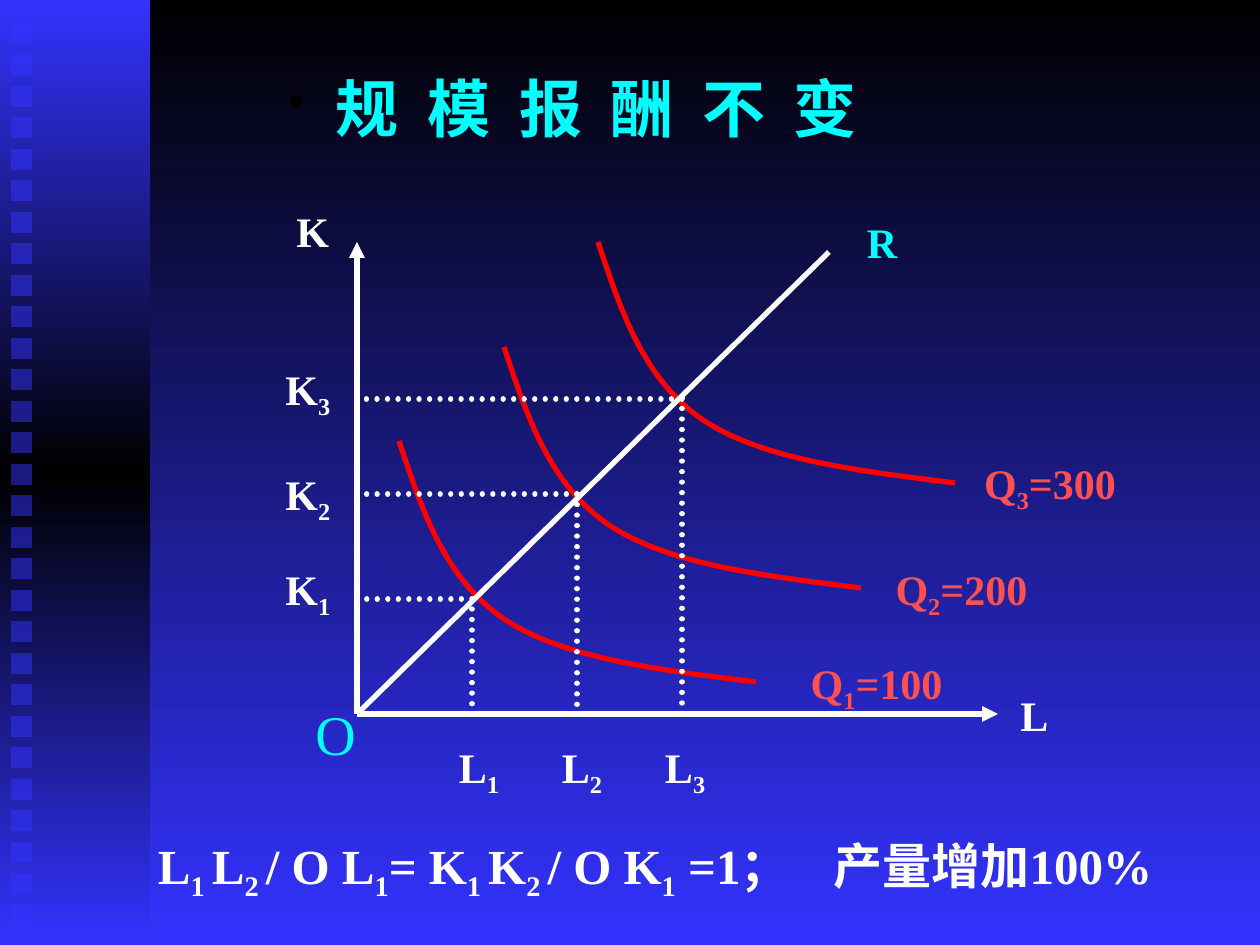
from copy import deepcopy

from lxml.etree import SubElement
from pptx import Presentation
from pptx.dml.color import RGBColor
from pptx.enum.dml import MSO_LINE
from pptx.enum.shapes import MSO_CONNECTOR, MSO_SHAPE
from pptx.enum.text import MSO_AUTO_SIZE, PP_ALIGN
from pptx.oxml.ns import qn
from pptx.util import Emu, Pt

WHITE, CYAN, RED, CORAL = "FFFFFF", "00FFFF", "FF0000", "FF5050"
BLACK, BLUE = "000000", "3333FF"
ORIGIN = (357, 714)
# Isoquant outline from its top end: start, then two Bezier segments
ISOQUANT = [(0, 0), (23, 69), (45, 137), (105, 178),
            (165, 218), (261, 229), (357, 241)]


def px(n):
    return Emu(round(n * 914400 / 126))


def rgb(color):
    return RGBColor.from_string(color)


def add_gradient(fill, element, colors):
    """Vertical gradient with evenly spaced stops."""
    fill.gradient()
    fill.gradient_angle = 270
    stops = element.find(".//" + qn("a:gsLst"))
    while len(stops) < len(colors):
        stops.append(deepcopy(stops[-1]))
    for i, (stop, color) in enumerate(zip(fill.gradient_stops, colors)):
        stop.position = i / (len(colors) - 1)
        stop.color.rgb = rgb(color)


def add_rect(s, x, y, w, h):
    sp = s.shapes.add_shape(MSO_SHAPE.RECTANGLE, px(x), px(y), px(w), px(h))
    sp.shadow.inherit = False
    sp.line.fill.background()
    return sp


def add_square(s, x, y, size):
    sp = add_rect(s, x, y, size, size)
    sp.fill.solid()
    sp.fill.fore_color.rgb = rgb(BLUE)
    color = sp._element.spPr.find(".//" + qn("a:srgbClr"))
    SubElement(color, qn("a:alpha"), val="50000")


def add_line(s, start, end, arrow=False, dotted=False):
    c = s.shapes.add_connector(MSO_CONNECTOR.STRAIGHT,
                               *(px(n) for n in (*start, *end)))
    c.line.color.rgb = rgb(WHITE)
    c.line.width = Pt(3)
    ln = c.line._get_or_add_ln()
    if dotted:
        c.line.dash_style = MSO_LINE.ROUND_DOT
        ln.set("cap", "rnd")
    if arrow:
        SubElement(ln, qn("a:tailEnd"), type="triangle")
    SubElement(c._element.spPr, qn("a:effectLst"))


def add_isoquant(s, x, y):
    points = [(x + dx, y + dy) for dx, dy in ISOQUANT]
    builder = s.shapes.build_freeform(*points[0], scale=914400 / 126)
    builder.add_line_segments(points[1:], close=False)
    sp = builder.convert_to_shape()
    sp.shadow.inherit = False
    sp.fill.background()
    sp.line.color.rgb = rgb(RED)
    sp.line.width = Pt(3)
    # Every three straight steps become one Bezier segment
    path = sp._element.spPr.find(".//" + qn("a:path"))
    steps = path.findall(qn("a:lnTo"))
    for i in range(0, len(steps), 3):
        curve = SubElement(path, qn("a:cubicBezTo"))
        for step in steps[i:i + 3]:
            curve.append(step[0])
            path.remove(step)


def add_text(s, text, x, y, w, h, size=24, color=WHITE, bold=True,
             align=PP_ALIGN.CENTER, inset=None, tabs=(), bullet=False,
             spacing=None):
    """Add a text box; a part between underscores is subscript."""
    tf = s.shapes.add_textbox(px(x), px(y), px(w), px(h)).text_frame
    tf.word_wrap = True
    tf.auto_size = MSO_AUTO_SIZE.SHAPE_TO_FIT_TEXT
    if inset is not None:
        tf.margin_left = px(inset)
    p = tf.paragraphs[0]
    p.alignment = align
    pPr = p._p.get_or_add_pPr()
    if bullet:
        pPr.set("marL", "342900")
        pPr.set("indent", "-342900")
        SubElement(SubElement(pPr, qn("a:buClr")), qn("a:srgbClr"), val=BLACK)
        SubElement(pPr, qn("a:buSzPct"), val="75000")
        SubElement(pPr, qn("a:buChar"), char="•")
    if tabs:
        tab_list = SubElement(pPr, qn("a:tabLst"))
        for pos in tabs:
            SubElement(tab_list, qn("a:tab"), pos=str(px(pos)), algn="l")
    for i, part in enumerate(text.split("_")):
        if not part:
            continue
        r = p.add_run()
        r.text = part
        r.font.name = "Times New Roman"
        r.font.size = Pt(size)
        r.font.bold = bold
        r.font.color.rgb = rgb(color)
        rPr = r._r.get_or_add_rPr()
        if i % 2:
            rPr.set("baseline", "-25000")
        if spacing:
            rPr.set("spc", str(spacing))


def add_backdrop(s):
    add_gradient(s.background.fill, s._element, [BLACK, BLUE])
    bar = add_rect(s, 0, 0, 150, 945)
    add_gradient(bar.fill, bar._element.spPr, [BLUE, BLACK, BLUE])
    for i in range(29):
        add_square(s, 11, 23 + i * 63 // 2, 21)


def add_diagram(s):
    # Axes and isoquants
    add_line(s, ORIGIN, (998, 714), arrow=True)
    add_line(s, ORIGIN, (357, 242), arrow=True)
    for x, y in [(598, 242), (504, 347), (399, 441)]:
        add_isoquant(s, x, y)

    # Expansion ray and dotted guides to both axes
    add_line(s, (472, 609), (472, 714), dotted=True)
    add_line(s, ORIGIN, (829, 252))
    add_line(s, (577, 494), (577, 714), dotted=True)
    add_line(s, (682, 703), (682, 389), dotted=True)
    for x, y in [(472, 599), (577, 494), (682, 399)]:
        add_line(s, (x, y), (357, y), dotted=True)

    # Labels of isoquants and inputs
    for i, x, y, w in [(1, 735, 651, 283), (2, 809, 557, 305),
                       (3, 903, 451, 294)]:
        add_text(s, f"Q_{i}_={i}00", x, y, w, 71, color=CORAL)
    for i, y in [(1, 557), (2, 462), (3, 357)]:
        add_text(s, f"K_{i}_", 273, y, 84, 71, align=PP_ALIGN.LEFT)
    add_text(s, "L_1_\tL_2_\tL_3_", 399, 735, 368, 71, align=PP_ALIGN.LEFT,
             inset=60, tabs=(103, 206))

    # Names of axes, ray and origin
    add_text(s, "K", 284, 199, 94, 63, align=PP_ALIGN.LEFT)
    add_text(s, "L", 1008, 683, 94, 63, align=PP_ALIGN.LEFT)
    add_text(s, "R", 819, 210, 126, 63, color=CYAN)
    add_text(s, "O", 262, 693, 147, 81, size=32, color=CYAN, bold=False)


def main():
    prs = Presentation()
    prs.slide_width, prs.slide_height = px(1260), px(945)
    s = prs.slides.add_slide(prs.slide_layouts[6])
    add_backdrop(s)
    add_text(s, "规 模 报 酬 不 变", 179, 63, 788, 88, size=36, color=CYAN,
             bullet=True, spacing=410)
    add_diagram(s)
    add_text(s, "L_1 _L_2 _/ O L_1_= K_1 _K_2 _/ O K_1_ =1；\t产量增加100%",
             136, 829, 1050, 79, size=28, align=PP_ALIGN.LEFT,
             inset=22, tabs=(676,))
    prs.save("out.pptx")


if __name__ == "__main__":
    main()
